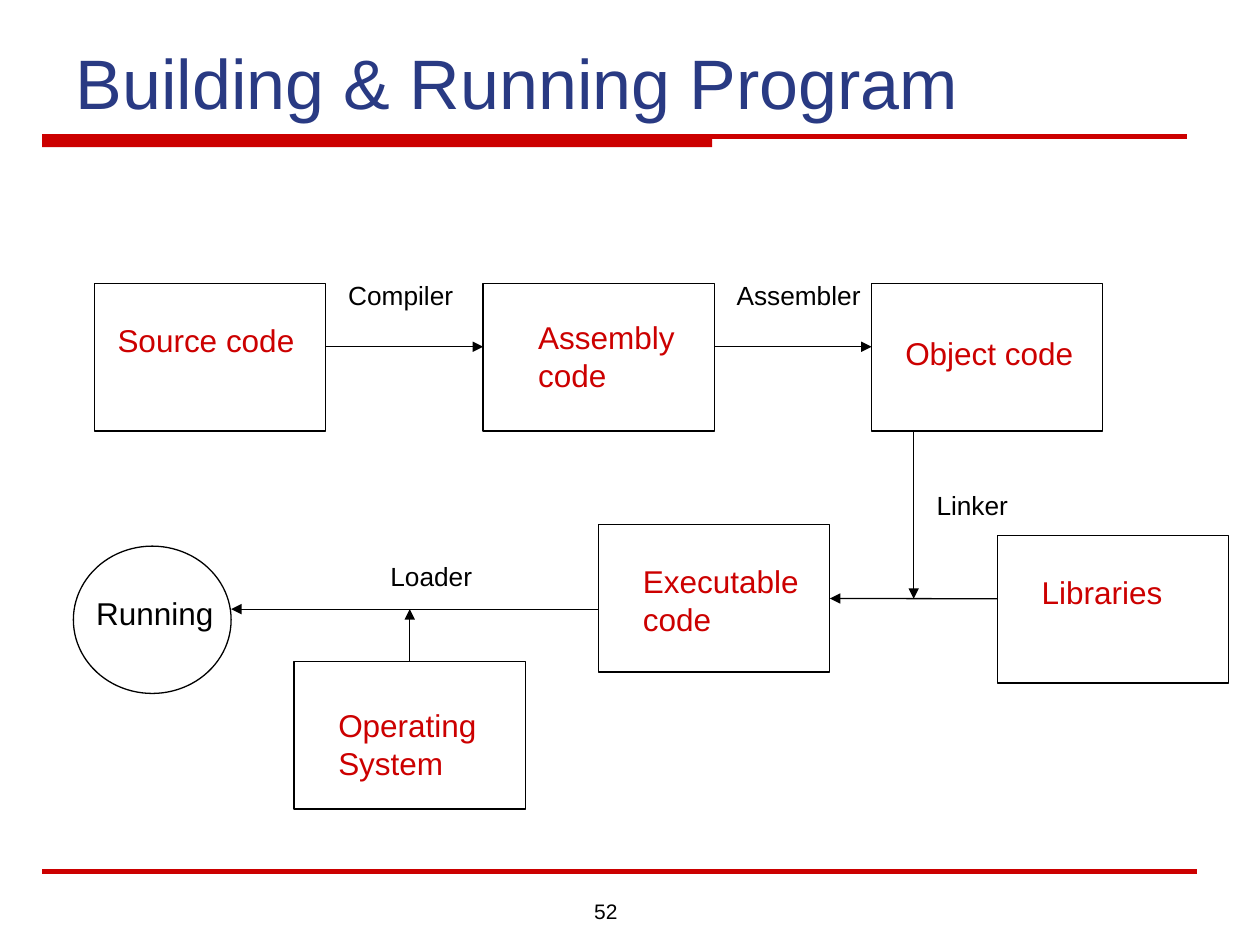
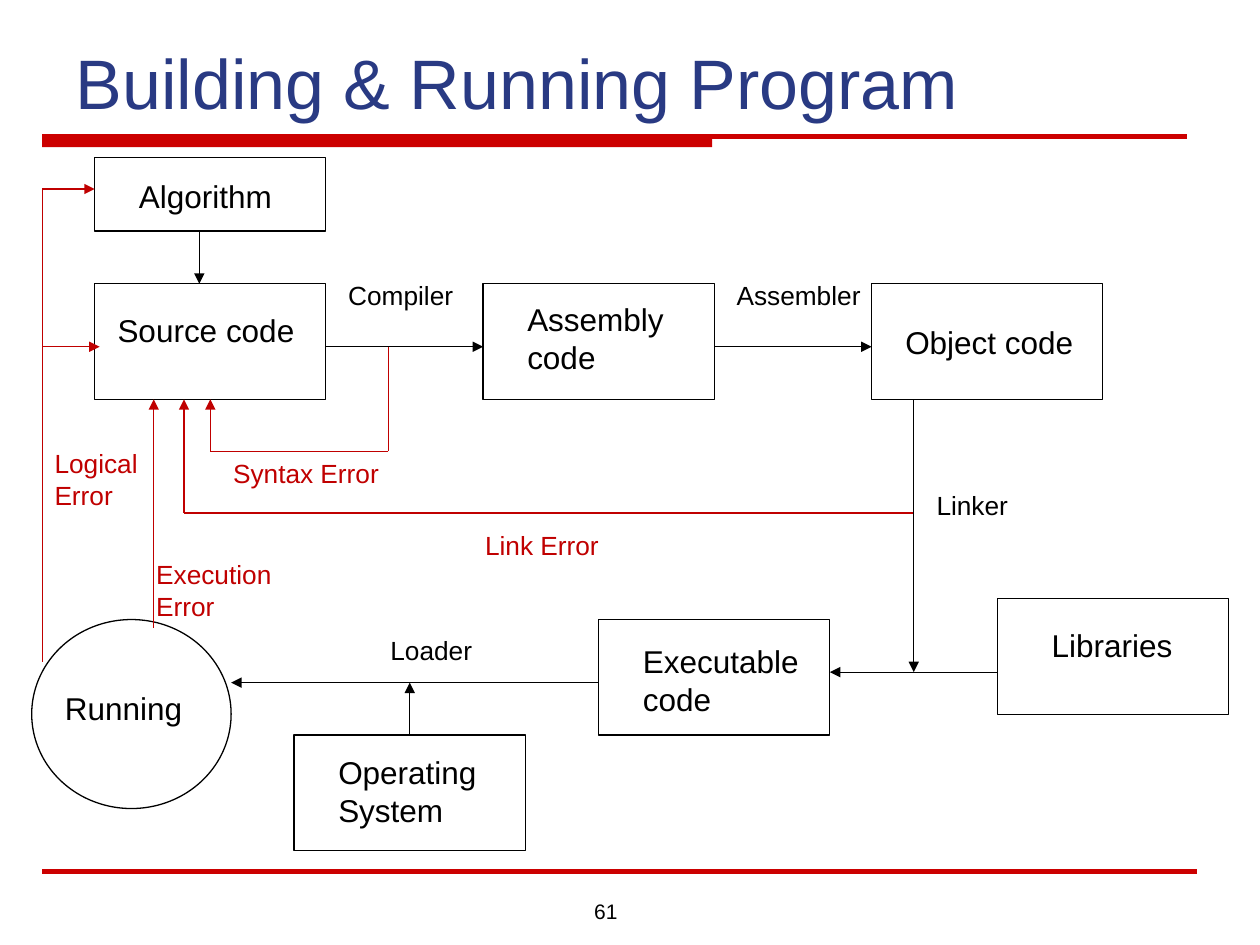
"""Build two slides on how a program is built and run."""
from dataclasses import dataclass
from itertools import pairwise

from lxml import etree
from pptx import Presentation
from pptx import util as u
from pptx.dml.color import RGBColor
from pptx.enum import shapes, text
from pptx.oxml import ns


@dataclass(frozen=True)
class Theme:
    """Colours and type sizes of the deck."""
    font: str = "Arial"
    ink: str = "000000"
    blue: str = "293A83"
    red: str = "CC0000"
    fault: str = "C00000"
    head: int = 40
    node: int = 18
    note: int = 15
    foot: int = 12
    thin: float = 0.75
    bold: float = 3


@dataclass(frozen=True)
class Plan:
    """Places that differ between the two charts."""
    tint: str
    tall: float
    feed: float
    load: float
    exe: float
    lib: float
    host: float
    pads: tuple


THEME = Theme()
LEFT, TOP, WIDE, STEP = 1.91, 5.72, 4.66, 7.83
FLOW = 6.99
EXE, LIB, HOST = 12.07, 20.11, 5.93

BASIC = Plan(THEME.red, 2.97, 12.07, 12.28, 10.58, 10.8, 13.34,
             ((0.46, 0.76), (1.11, 0.69), (0.68, 1.02),
              (0.89, 0.76), (0.89, 0.76), (0.89, 0.89)))
FULL = Plan(THEME.ink, 2.33, 13.55, 13.76, 12.49, 12.07, 14.82,
            ((0.46, 0.56), (0.89, 0.33), (0.68, 0.79),
             (0.89, 0.46), (1.09, 0.56), (0.89, 0.36)))


def rgb(code):
    """Turn a hex code into a colour."""
    return RGBColor.from_string(code)


def write(frame, words, size, tint, align=text.PP_ALIGN.LEFT):
    """Fill a text frame with one styled paragraph."""
    frame.text = words
    frame.word_wrap = True
    frame.auto_size = text.MSO_AUTO_SIZE.NONE
    para = frame.paragraphs[0]
    para.alignment = align
    para.font.name = THEME.font
    para.font.size = u.Pt(size)
    para.font.color.rgb = rgb(tint)


def label(slide, words, x, y, wide=3.18, size=THEME.note, tint=THEME.ink,
          align=text.PP_ALIGN.LEFT):
    """Place a free line of text."""
    box = slide.shapes.add_textbox(u.Cm(x), u.Cm(y), u.Cm(wide), u.Cm(0.88))
    write(box.text_frame, words, size, tint, align)


def outline(slide, kind, x, y, wide, tall):
    """Draw a hollow shape with a thin black line."""
    shape = slide.shapes.add_shape(kind, u.Cm(x), u.Cm(y), u.Cm(wide), u.Cm(tall))
    shape.shadow.inherit = False
    shape.fill.background()
    shape.line.color.rgb = rgb(THEME.ink)
    shape.line.width = u.Pt(THEME.thin)
    return shape


def node(slide, words, x, y, tall, pad, tint=THEME.ink):
    """Draw a box whose text starts at the given inner offset."""
    shape = outline(slide, shapes.MSO_SHAPE.RECTANGLE, x, y, WIDE, tall)
    frame = shape.text_frame
    write(frame, words, THEME.node, tint)
    frame.vertical_anchor = text.MSO_ANCHOR.TOP
    frame.margin_left, frame.margin_top = map(u.Cm, pad)
    frame.margin_right = frame.margin_bottom = 0
    return shape


def finish(slide, x, y, wide, tall, at):
    """Draw the round end state and its name."""
    outline(slide, shapes.MSO_SHAPE.OVAL, x, y, wide, tall)
    label(slide, "Running", *at, 2.97, THEME.node)


def rule(slide, start, end, tint=THEME.ink, width=THEME.thin, arrow=False):
    """Draw a straight line, with an arrowhead on request."""
    line = slide.shapes.add_connector(
        shapes.MSO_CONNECTOR.STRAIGHT, *map(u.Cm, (*start, *end)))
    line.line.color.rgb = rgb(tint)
    line.line.width = u.Pt(width)
    props = line.element.spPr
    if arrow:
        etree.SubElement(props.find(ns.qn("a:ln")), ns.qn("a:tailEnd"),
                         type="triangle")
    etree.SubElement(props, ns.qn("a:effectLst"))
    return line


def route(slide, *spots, tint=THEME.ink):
    """Link the spots in turn and end with an arrowhead."""
    for start, end in pairwise(spots):
        line = rule(slide, start, end, tint, arrow=end == spots[-1])
    return line


def dress(slide):
    """Put the red band and rules on the layout of this slide."""
    layout = slide.slide_layout
    for hold in list(layout.placeholders):
        if hold.placeholder_format.idx:
            hold.element.getparent().remove(hold.element)
    band = slide.shapes.add_shape(shapes.MSO_SHAPE.RECTANGLE,
                                  *map(u.Cm, (0.85, 2.75, 13.51, 0.22)))
    band.shadow.inherit = False
    band.fill.solid()
    band.fill.fore_color.rgb = rgb(THEME.red)
    band.line.fill.background()
    top = rule(slide, (0.85, 2.75), (23.92, 2.75), THEME.red, THEME.bold)
    base = rule(slide, (0.85, 17.57), (24.13, 17.57), THEME.red, THEME.bold)
    for part in (band, top, base):
        layout.shapes.element.append(part.element)


def start(deck, number):
    """Add a slide with its title and number."""
    slide = deck.slides.add_slide(deck.slide_layouts[5])
    if len(deck.slides) == 1:
        dress(slide)
    title = slide.shapes.title
    title.left, title.top, title.width, title.height = map(
        u.Cm, (1.27, 0.43, 22.86, 2.18))
    write(title.text_frame, "Building & Running Program", THEME.head, THEME.blue)
    title.text_frame.vertical_anchor = text.MSO_ANCHOR.BOTTOM
    label(slide, number, 11, 17.98, 1.7, THEME.foot,
          align=text.PP_ALIGN.RIGHT)
    return slide


def chart(slide, plan):
    """Draw the flow from source to run; give back the code box and its feed."""
    spots = [(LEFT + i * STEP, TOP) for i in range(3)]
    spots += [(EXE, plan.exe), (LIB, plan.lib), (HOST, plan.host)]
    names = ("Source code", "Assembly code", "Object code",
             "Executable code", "Libraries", "Operating System")
    boxes = [node(slide, name, *spot, plan.tall, pad, plan.tint)
             for name, spot, pad in zip(names, spots, plan.pads)]
    for i, tool in enumerate(("Compiler", "Assembler")):
        x = LEFT + WIDE + i * STEP
        route(slide, (x, FLOW), (x + STEP - WIDE, FLOW))
        label(slide, tool, x + 0.2, 5.51)
    route(slide, (18.42, TOP + plan.tall), (18.42, plan.feed))
    label(slide, "Linker", 18.63, 9.74)
    feed = route(slide, (LIB, plan.feed), (EXE + WIDE, plan.feed))
    route(slide, (EXE, plan.load), (4.66, plan.load))
    label(slide, "Loader", 7.62, plan.load - 1.1)
    mid = HOST + WIDE / 2
    host = route(slide, (mid, plan.host), (mid, plan.load))
    host.begin_connect(boxes[5], 0)
    return boxes[3], feed


def faults(slide):
    """Draw the error paths back to earlier steps."""
    foot = TOP + FULL.tall
    paths = (
        ((7.83, FLOW), (7.83, 9.1), (4.24, 9.1), (4.24, foot)),
        ((18.4, 10.34), (3.71, 10.34), (3.71, foot)),
        ((3.1, 12.65), (3.1, foot)),
        ((0.85, 13.34), (0.85, 3.81), (LEFT, 3.81)),
        ((0.85, FLOW), (2.01, FLOW)),
    )
    for spots in paths:
        route(slide, *spots, tint=THEME.fault)
    notes = (("Syntax Error", 4.45, 9.1, 3.6),
             ("Link Error", 9.53, 10.54, 3.6),
             ("Execution Error", 2.9, 11.13, 3.18),
             ("Logical Error", 0.85, 8.9, 2.33))
    for note in notes:
        label(slide, *note, tint=THEME.fault)


def main():
    """Build both slides and save the deck."""
    deck = Presentation()
    deck.slide_width, deck.slide_height = u.Cm(25.4), u.Cm(19.05)

    basic = start(deck, "52")
    code, feed = chart(basic, BASIC)
    feed.end_connect(code, 3)
    finish(basic, 1.48, 11.01, 3.18, 2.97, (1.69, 11.85))

    full = start(deck, "61")
    chart(full, FULL)
    finish(full, 0.64, 12.49, 4.02, 3.81, (1.06, 13.76))
    node(full, "Algorithm", LEFT, 3.18, 1.48, (0.89, 0.38))
    route(full, (4.02, 4.66), (4.02, TOP))
    faults(full)

    deck.save("out.pptx")


if __name__ == "__main__":
    main()
